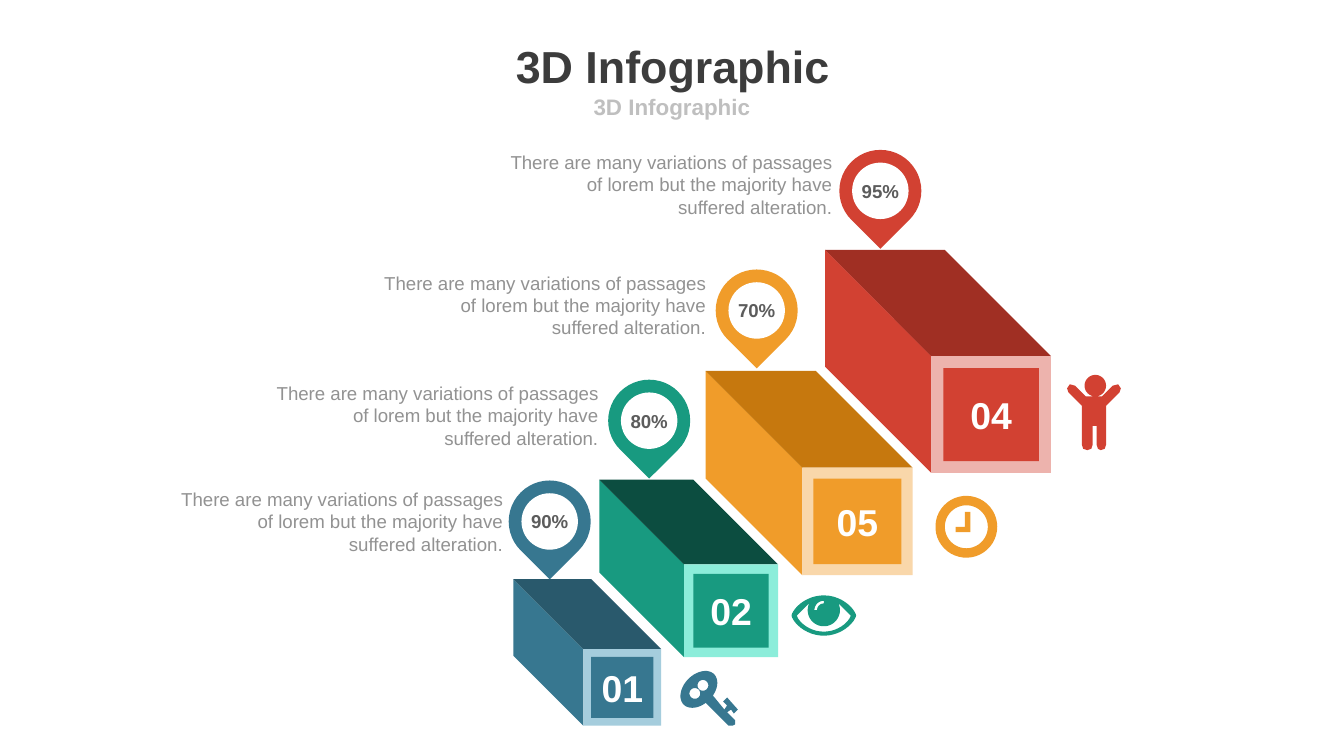
import math

import pptx
import pptx.dml.color
import pptx.enum.shapes
import pptx.enum.text
import pptx.util

WIDTH = 10
HEIGHT = WIDTH * 9 / 16
SHAPES = pptx.enum.shapes.MSO_SHAPE
ALIGN = pptx.enum.text.PP_ALIGN
ANCHOR = pptx.enum.text.MSO_ANCHOR

COLORS = {
    "title": "3C3C3C", "subtitle": "BFBFBF", "caption": "929292",
    "percent": "5C5C5C", "white": "FFFFFF",
    "blue": "377790", "blue roof": "29596C", "blue frame": "A5CDDD",
    "green": "189A80", "green roof": "0C4D40", "green frame": "8CEDDA",
    "orange": "F09C2A", "orange roof": "C6780E", "orange frame": "F9D7AA",
    "red": "D24132", "red roof": "A02F23", "red frame": "EDB3AD",
}
STYLES = {
    "title": {"size": 24, "bold": True, "color": "title"},
    "subtitle": {"size": 12, "bold": True, "color": "subtitle"},
    "caption": {"size": 10, "bold": False, "color": "caption"},
    "percent": {"size": 10, "bold": True, "color": "percent"},
    "number": {"size": 20, "bold": True, "color": "white"},
}
TITLE = "3D Infographic"
SUBTITLE = "3D Infographic"
CAPTION = ("There are many variations of passages of lorem "
           "but the majority have\vsuffered alteration.")
# left, top: back corner; width, height: front face; pin: centre of the marker;
# caption: left and top of the text
BARS = [
    {"number": "01", "percent": "90%", "color": "blue", "left": 3.82, "top": 4.31,
     "width": 0.58, "height": 0.57, "depth": 0.52, "pin": (4.09, 3.88),
     "caption": (1.28, 3.63)},
    {"number": "02", "percent": "80%", "color": "green", "left": 4.46, "top": 3.57,
     "width": 0.7, "height": 0.69, "depth": 0.63, "pin": (4.83, 3.13),
     "caption": (1.99, 2.84)},
    {"number": "05", "percent": "70%", "color": "orange", "left": 5.25, "top": 2.76,
     "width": 0.82, "height": 0.8, "depth": 0.72, "pin": (5.63, 2.31),
     "caption": (2.79, 2.02)},
    {"number": "04", "percent": "95%", "color": "red", "left": 6.14, "top": 1.86,
     "width": 0.89, "height": 0.87, "depth": 0.79, "pin": (6.55, 1.42),
     "caption": (3.73, 1.12)},
]
PIN_SIZE, HOLE_SIZE = 0.61, 0.42
CAPTION_WIDTH, CAPTION_HEIGHT = 2.46, 0.5
FRAME_SHARE = 0.1


def arc(x, y, wide, high, start=0, end=360, tilt=0):
    """Points along an ellipse, angles in degrees running clockwise."""
    steps = max(8, round(abs(end - start) / 8))
    turn = math.radians(tilt)
    points = []
    for step in range(steps + 1):
        angle = math.radians(start + (end - start) * step / steps)
        across, down = wide * math.cos(angle), high * math.sin(angle)
        points.append((x + across * math.cos(turn) - down * math.sin(turn),
                       y + across * math.sin(turn) + down * math.cos(turn)))
    return points


def lens(x, y, wide, high, start=0, end=360):
    """Points along an almond outline."""
    points = []
    for across, down in arc(0, 0, 1, 1, start, end):
        points.append((x + wide * across, y + high * down * abs(down) ** 0.4))
    return points


# Each icon is a list of closed outlines; an inner outline cuts a hole.
ICONS = {
    "blue": [
        arc(5.2, 5.13, 0.16, 0.11, 105, 435, tilt=-45) + [
            (5.39, 5.28), (5.41, 5.25), (5.38, 5.22), (5.41, 5.19), (5.49, 5.28),
            (5.46, 5.31), (5.44, 5.28), (5.41, 5.3), (5.47, 5.36), (5.47, 5.39),
            (5.45, 5.4), (5.42, 5.4), (5.25, 5.23)],
        arc(5.23, 5.1, 0.04, 0.04),
        arc(5.17, 5.16, 0.04, 0.04),
    ],
    "green": [
        lens(6.13, 4.58, 0.24, 0.15),
        arc(6.13, 4.54, 0.12, 0.12, -25, 205) + lens(6.13, 4.58, 0.2, 0.12, 180, 0),
        arc(6.13, 4.54, 0.07, 0.07, 180, 270) + arc(6.13, 4.54, 0.05, 0.05, 270, 180),
    ],
    "orange": [
        arc(7.19, 3.92, 0.23, 0.23),
        arc(7.19, 3.92, 0.16, 0.16),
        [(7.11, 3.92), (7.18, 3.92), (7.18, 3.81), (7.22, 3.81), (7.22, 3.96),
         (7.11, 3.96)],
    ],
    "red": [
        arc(8.15, 2.87, 0.08, 0.08),
        [(8.23, 3.02), (8.23, 3.31), (8.22, 3.34), (8.19, 3.35), (8.17, 3.34),
         (8.16, 3.31), (8.16, 3.17), (8.13, 3.17), (8.13, 3.31), (8.12, 3.34),
         (8.09, 3.35), (8.06, 3.34), (8.05, 3.31), (8.05, 3.02), (7.95, 2.92),
         (7.94, 2.89), (7.96, 2.86), (8, 2.87), (8.08, 2.95), (8.2, 2.95),
         (8.28, 2.87), (8.32, 2.86), (8.34, 2.89), (8.33, 2.92)],
    ],
}


def paint(shape, color):
    shape.shadow.inherit = False
    shape.fill.solid()
    shape.fill.fore_color.rgb = pptx.dml.color.RGBColor.from_string(COLORS[color])
    shape.line.fill.background()


def write(box, text, style, align=ALIGN.CENTER, anchor=ANCHOR.MIDDLE, wrap=False):
    frame = box.text_frame
    frame.text = text
    layout = {"margin_left": 0, "margin_right": 0, "margin_top": 0, "margin_bottom": 0,
              "auto_size": pptx.enum.text.MSO_AUTO_SIZE.NONE,
              "vertical_anchor": anchor, "word_wrap": wrap}
    for name, value in layout.items():
        setattr(frame, name, value)
    look = STYLES[style]
    para = frame.paragraphs[0]
    para.alignment = align
    for span in para.runs:
        values = {"name": "Arial", "size": pptx.util.Pt(look["size"]), "bold": look["bold"]}
        for name, value in values.items():
            setattr(span.font, name, value)
        span.font.color.rgb = pptx.dml.color.RGBColor.from_string(COLORS[look["color"]])


def inches(*lengths):
    return [pptx.util.Inches(length) for length in lengths]


def add_preset(page, kind, color, left, top, width, height):
    shape = page.shapes.add_shape(kind, *inches(left, top, width, height))
    paint(shape, color)
    return shape


def add_outline(page, contours, color):
    builder = page.shapes.build_freeform(*inches(*contours[0][0]))
    for index, points in enumerate(contours):
        if index:
            builder.move_to(*inches(*points[0]))
        builder.add_line_segments([inches(*point) for point in points[1:]], close=True)
    paint(builder.convert_to_shape(), color)


def add_block(page, bar):
    color, left, top = bar["color"], bar["left"], bar["top"]
    width, height, depth = bar["width"], bar["height"], bar["depth"]
    front, face_top = left + depth, top + depth
    add_outline(page, [[(left, top), (front, face_top), (front, face_top + height),
                        (left, top + height)]], color)
    add_outline(page, [[(left, top), (left + width, top), (front + width, face_top),
                        (front, face_top)]], color + " roof")
    add_preset(page, SHAPES.RECTANGLE, color + " frame", front, face_top, width, height)
    inset = FRAME_SHARE * width
    face = add_preset(page, SHAPES.RECTANGLE, color, front + inset, face_top + inset,
                      width - 2 * inset, height - 2 * inset)
    write(face, bar["number"], "number")


def add_pin(page, bar):
    """Marker with its percentage, and the caption to its left."""
    x, y = bar["pin"]
    pin = add_preset(page, SHAPES.TEAR, bar["color"], x - PIN_SIZE / 2, y - PIN_SIZE / 2,
                     PIN_SIZE, PIN_SIZE)
    pin.rotation = 135
    hole = add_preset(page, SHAPES.OVAL, "white", x - HOLE_SIZE / 2, y - HOLE_SIZE / 2,
                      HOLE_SIZE, HOLE_SIZE)
    write(hole, bar["percent"], "percent")
    caption = page.shapes.add_textbox(*inches(*bar["caption"], CAPTION_WIDTH, CAPTION_HEIGHT))
    write(caption, CAPTION, "caption", ALIGN.RIGHT, ANCHOR.TOP, wrap=True)


def main():
    deck = pptx.Presentation()
    deck.slide_width, deck.slide_height = inches(WIDTH, HEIGHT)
    page = deck.slides.add_slide(deck.slide_layouts[5])
    title = page.shapes.title
    title.left, title.top, title.width, title.height = inches(1.92, 0.29, 6.17, 0.39)
    write(title, TITLE, "title")
    subtitle = page.shapes.add_textbox(*inches(2.75, 0.68, 4.5, 0.22))
    write(subtitle, SUBTITLE, "subtitle", wrap=True)
    for bar in BARS:
        add_block(page, bar)
        add_pin(page, bar)
        add_outline(page, ICONS[bar["color"]], bar["color"])
    deck.save("out.pptx")


if __name__ == "__main__":
    main()
